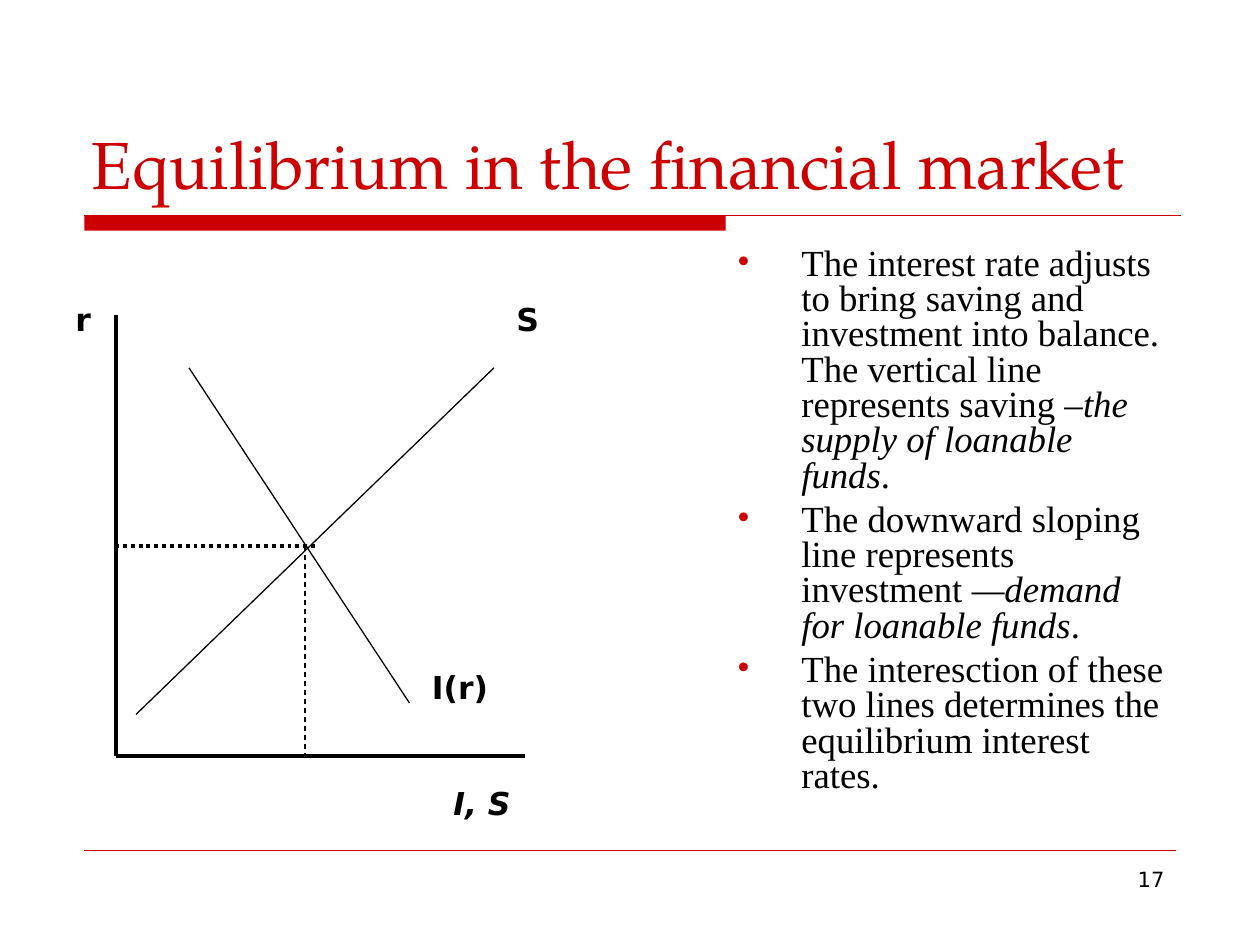
from lxml.etree import SubElement as Sub
from pptx import Presentation
from pptx.dml.color import RGBColor
from pptx.enum.dml import MSO_LINE as Dash
from pptx.enum.shapes import MSO_CONNECTOR as Conn, MSO_SHAPE as Shape
from pptx.enum.text import MSO_ANCHOR as Anchor, MSO_AUTO_SIZE as Auto, PP_ALIGN as Align
from pptx.oxml.ns import qn
from pptx.util import Inches, Pt

RED, BLACK = "CC0000", "000000"
SANS = "DejaVu Sans"

TITLE = "Equilibrium in the financial market"
POINTS = [
    [("The interest rate adjusts to bring saving and investment into balance. "
      "The vertical line represents saving –", False),
     ("the supply of loanable funds", True), (".", False)],
    [("The downward sloping line represents investment", False),
     (" —demand for loanable funds", True), (".", False)],
    [("The interesction of these two lines determines the equilibrium interest rates.", False)],
]

LEFT, BASE, TOP = 0.92, 6, 2.5
RATE, FUNDS = 4.33, 2.42
RULES = [
    ((0.67, 1.71), (9.37, 1.71), RED, 0.74, None),
    ((0.67, 6.75), (9.33, 6.75), RED, 0.26, None),
]
GRAPH = [
    ((LEFT, TOP), (LEFT, BASE), BLACK, 2.24, None),
    ((LEFT, BASE), (4.17, BASE), BLACK, 2.24, None),
    ((2.5, RATE), (LEFT, RATE), BLACK, 2.24, Dash.ROUND_DOT),
    ((1.08, 5.67), (3.92, 2.92), BLACK, 0.74, None),
    ((1.5, 2.92), (3.25, 5.58), BLACK, 0.74, None),
    ((FUNDS, RATE), (FUNDS, BASE), BLACK, 0.74, Dash.DASH),
]
MARK = {"size": Pt(18), "name": SANS, "bold": True}
LABELS = [
    ("I(r)", (3.33, 5.25, 0.83, 0.4), MARK),
    ("S", (4, 2.33, 0.58, 0.4), MARK),
    ("r", (0.5, 2.33, 0.33, 0.4), MARK),
    ("I, S", (3.5, 6.17, 1.5, 0.4), {**MARK, "italic": True}),
]


def rgb(code):
    return RGBColor.from_string(code)


def place(shape, box):
    for key, val in zip(("left", "top", "width", "height"), box):
        setattr(shape, key, Inches(val))


def write(para, text, color, form):
    run = para.add_run()
    run.text = text
    run.font.color.rgb = rgb(color)
    for key, val in form.items():
        setattr(run.font, key, val)


def draw(start, end, color, width, dash):
    line = slide.shapes.add_connector(Conn.STRAIGHT, *map(Inches, start + end))
    line.line.color.rgb = rgb(color)
    line.line.width = Pt(width)
    if dash:
        line.line.dash_style = dash
    Sub(line._element.spPr, qn("a:effectLst"))


def label(text, box, form, **style):
    frame = slide.shapes.add_textbox(*map(Inches, box)).text_frame
    frame.word_wrap = True
    para = frame.paragraphs[0]
    for key, val in style.items():
        setattr(para, key, val)
    write(para, text, BLACK, form)


def bullet(para):
    props = para._p.get_or_add_pPr()
    props.set("marL", str(Inches(0.51)))
    props.set("indent", str(Inches(-0.51)))
    Sub(Sub(props, qn("a:buClr")), qn("a:srgbClr"), val=RED)
    Sub(props, qn("a:buFont"), typeface="Times New Roman")
    Sub(props, qn("a:buChar"), char="•")


deck = Presentation()
deck.slide_width, deck.slide_height = Inches(10), Inches(7.5)
slide = deck.slides.add_slide(deck.slide_layouts[1])
title, body = slide.placeholders

place(title, (0.63, 0.33, 8.75, 1.33))
head = title.text_frame
head.auto_size, head.vertical_anchor = Auto.NONE, Anchor.BOTTOM
head.paragraphs[0].alignment = Align.LEFT
write(head.paragraphs[0], TITLE, RED, {"size": Pt(38), "name": "TeX Gyre Pagella"})

place(body, (5.75, 1.92, 3.62, 4.67))
text = body.text_frame
text.auto_size = Auto.NONE
for num, point in enumerate(POINTS):
    para = text.add_paragraph() if num else text.paragraphs[0]
    para.line_spacing, para.space_before = 0.8, Pt(5.2)
    bullet(para)
    for part, slant in point:
        write(para, part, BLACK,
              {"size": Pt(21), "name": "Times New Roman", "italic": slant})

bar = slide.shapes.add_shape(Shape.RECTANGLE, *map(Inches, (0.67, 1.71, 5.09, 0.12)))
bar.shadow.inherit = False
bar.fill.solid()
bar.fill.fore_color.rgb = rgb(RED)
bar.line.fill.background()

for rule in RULES + GRAPH:
    draw(*rule)
for item in LABELS:
    label(*item, space_before=Pt(11.2))
label("17", (7.17, 6.83, 2.17, 0.52), {"size": Pt(12), "name": SANS},
      alignment=Align.RIGHT)

deck.save("out.pptx")
